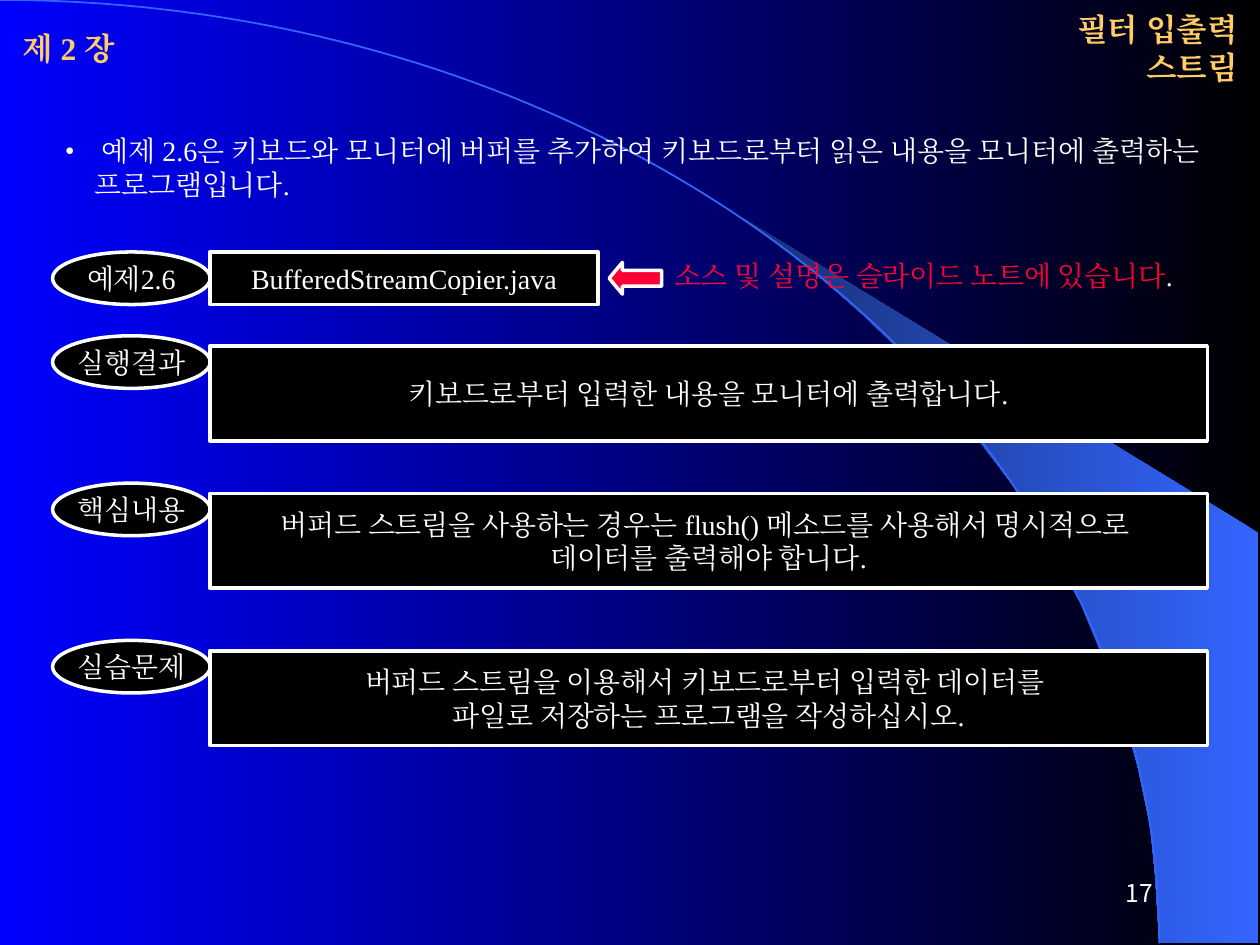
"""Builds the slide on filter streams with its labelled example boxes."""
from math import cos, pi, sin
from lxml.etree import SubElement
from pptx import Presentation
from pptx.dml.color import RGBColor
from pptx.enum.shapes import MSO_SHAPE
from pptx.enum.text import MSO_ANCHOR, PP_ALIGN
from pptx.oxml.ns import qn
from pptx.util import Cm, Pt

HUE = {"black": "000000", "white": "FFFFFF", "blue": "0000FF", "sky": "3366FF",
       "navy": "172F75", "gold": "FFCC66", "red": "FF0033"}
RGB = {name: RGBColor.from_string(code) for name, code in HUE.items()}
SERIF = "Times New Roman"
SANS = "Noto Sans CJK KR"


def write(shape, lines, align=PP_ALIGN.CENTER, wrap=False, anchor=MSO_ANCHOR.MIDDLE,
          size=16, bold=False, face=SERIF, before=0):
    frame = shape.text_frame
    box = {"word_wrap": wrap, "vertical_anchor": anchor,
           "margin_left": Cm(0.25), "margin_right": Cm(0.25),
           "margin_top": Cm(0.13), "margin_bottom": Cm(0.13)}
    for key, value in box.items():
        setattr(frame, key, value)
    for num, line in enumerate(lines):
        para = frame.add_paragraph() if num else frame.paragraphs[0]
        para.alignment = align
        para.space_before = Pt(before)
        for text, color in line:
            run = para.add_run()
            run.text = text
            for key, value in {"size": Pt(size), "bold": bold, "name": face}.items():
                setattr(run.font, key, value)
            run.font.color.rgb = RGB[color]
            SubElement(run.font._element, qn("a:ea"), typeface=face)
    return frame


def blend(fill, first, last):
    fill.gradient()
    fill.gradient_angle = 180
    for stop, color in zip(fill.gradient_stops, (first, last)):
        stop.color.rgb = RGB[color]


deck = Presentation()
deck.slide_width, deck.slide_height = Cm(25.4), Cm(19.05)
slide = deck.slides.add_slide(deck.slide_layouts[6])
shapes = slide.shapes
blend(slide.background.fill, "black", "blue")

edge = [(23.37, 19), (25.37, 19.02), (25.37, 10.74), (14.96, 4.39), (15.85, 5.05),
        (16.59, 5.64), (17.4, 6.35), (18.19, 7.11), (19.35, 8.38), (20.4, 9.75),
        (21.13, 10.95), (21.79, 12.17), (22.3, 13.41), (22.68, 14.53),
        (22.94, 15.47), (23.19, 16.66), (23.29, 17.68)]
steps = 90
curve = [(23.37 * sin(pi / 2 * i / steps), 19.02 * (1 - cos(pi / 2 * i / steps)))
         for i in range(steps + 1)]
forms = []
for points, close in ((edge, True), (curve, False)):
    spots = [(Cm(x), Cm(y)) for x, y in points]
    pen = shapes.build_freeform(*spots[0])
    pen.add_line_segments(spots[1:], close=close)
    form = pen.convert_to_shape()
    form.shadow.inherit = False
    forms.append(form)
swoosh, arc = forms
blend(swoosh.fill, "sky", "navy")
swoosh.line.fill.background()
arc.fill.background()
arc.line.color.rgb = RGB["sky"]
arc.line.width = Pt(1)

for left, wide, text, align in ((0.2, 3.61, "제 2 장", PP_ALIGN.LEFT),
                                (21.39, 3.81, "필터 입출력 스트림", PP_ALIGN.RIGHT)):
    head = shapes.add_textbox(Cm(left), Cm(0.43), Cm(wide), Cm(1.07))
    write(head, [[(text, "gold")]], align, size=18, bold=True)

intro = shapes.add_textbox(Cm(1.06), Cm(2.57), Cm(24.13), Cm(1.63))
story = " 예제 2.6은 키보드와 모니터에 버퍼를 추가하여 키보드로부터 읽은 내용을 모니터에 출력하는 프로그램입니다."
frame = write(intro, [[(story, "white")]], PP_ALIGN.LEFT, True, MSO_ANCHOR.TOP, before=10)
props = frame.paragraphs[0]._p.get_or_add_pPr()
props.set("marL", str(Cm(0.6)))
props.set("indent", str(-Cm(0.6)))
tint = SubElement(props, qn("a:buClr"))
SubElement(tint, qn("a:srgbClr"), val=HUE["white"])
SubElement(props, qn("a:buFont"), typeface=SERIF)
SubElement(props, qn("a:buChar"), char="•")

rows = [
    (5.08, 5.08, 7.83, 1.06, "예제2.6", ["BufferedStreamCopier.java"]),
    (6.77, 6.98, 20.11, 1.91, "실행결과", ["키보드로부터 입력한 내용을 모니터에 출력합니다."]),
    (9.74, 9.95, 20.11, 1.91, "핵심내용",
     ["버퍼드 스트림을 사용하는 경우는 flush() 메소드를 사용해서 명시적으로 ", "데이터를 출력해야 합니다."]),
    (12.91, 13.12, 20.11, 1.91, "실습문제",
     ["버퍼드 스트림을 이용해서 키보드로부터 입력한 데이터를 ", "파일로 저장하는 프로그램을 작성하십시오."]),
]
parts = [(MSO_SHAPE.LEFT_ARROW, 12.28, 5.29, 1.06, 0.64, "red", [])]
for top, low, wide, high, label, lines in rows:
    parts.append((MSO_SHAPE.OVAL, 1.06, top, 3.18, 1.06, "black", [label]))
    parts.append((MSO_SHAPE.RECTANGLE, 4.23, low, wide, high, "black", lines))
for kind, left, top, wide, high, color, lines in parts:
    shape = shapes.add_shape(kind, Cm(left), Cm(top), Cm(wide), Cm(high))
    shape.shadow.inherit = False
    shape.fill.solid()
    shape.fill.fore_color.rgb = RGB[color]
    shape.line.color.rgb = RGB["white"]
    shape.line.width = Pt(2)
    if kind == MSO_SHAPE.LEFT_ARROW:
        shape.adjustments[1] = 0.42
    write(shape, [[(line, "white")] for line in lines])

note = shapes.add_textbox(Cm(13.34), Cm(5.08), Cm(11.23), Cm(0.94))
write(note, [[("소스 및 설명은 슬라이드 노트에 있습니다", "red"), (".", "white")]],
      PP_ALIGN.LEFT, True, MSO_ANCHOR.TOP, before=10)
page = shapes.add_textbox(Cm(18.2), Cm(17.36), Cm(5.29), Cm(1.27))
write(page, [[("17", "white")]], PP_ALIGN.RIGHT, True, size=14, face=SANS)

deck.save("out.pptx")
